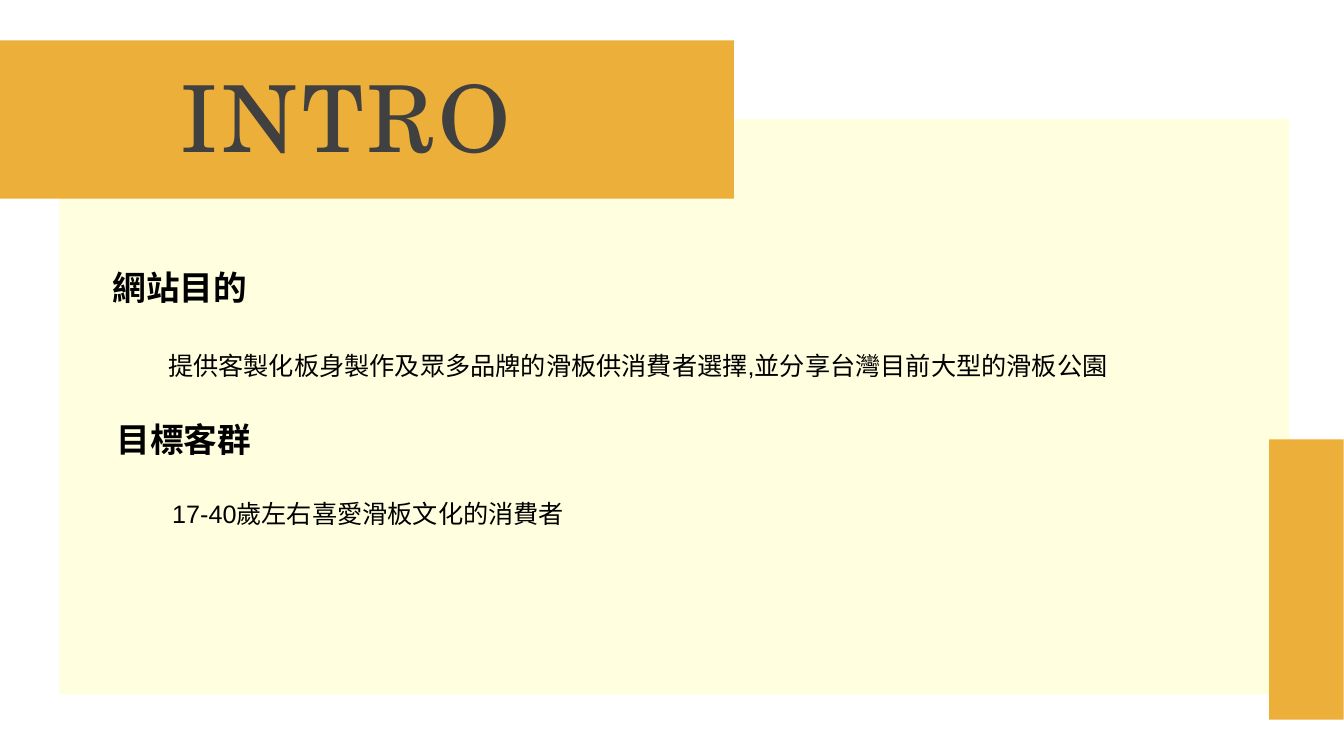
"""Build the INTRO slide on a website's purpose and target audience."""
from dataclasses import dataclass

from lxml import etree
from pptx import Presentation
from pptx import util as u
from pptx.dml import color
from pptx.enum import shapes, text
from pptx.oxml import ns
from pptx.slide import Slide

AMBER, CREAM, CHARCOAL, BLACK = "ECAF3A", "FFFFD7", "404040", "000000"


@dataclass
class Panel:
    left: float
    top: float
    width: float
    height: float
    fill: str
    opacity: int = 100


@dataclass
class Section:
    left: float
    top: float
    heading: str
    body: str
    body_drop: float


PANELS = [
    Panel(42.48, 84.96, 878.4, 411.12, CREAM, opacity=80),
    Panel(0, 28.8, 524.16, 113.04, AMBER),
    Panel(906.48, 313.92, 53.28, 200.16, AMBER),
]
SECTIONS = [
    Section(73.44, 187.2, "網站目的",
            "提供客製化板身製作及眾多品牌的滑板供消費者選擇,並分享台灣目前大型的滑板公園", 59.76),
    Section(76.32, 295.92, "目標客群", "17-40歲左右喜愛滑板文化的消費者", 56.16),
]
BODY_INDENT = 39.6


def paint(target, hex_color: str) -> None:
    target.rgb = color.RGBColor.from_string(hex_color)


def add_panel(slide: Slide, panel: Panel) -> None:
    block = slide.shapes.add_shape(
        shapes.MSO_SHAPE.RECTANGLE, u.Pt(panel.left), u.Pt(panel.top),
        u.Pt(panel.width), u.Pt(panel.height))
    block.shadow.inherit = False
    block.line.fill.background()
    block.fill.solid()
    paint(block.fill.fore_color, panel.fill)
    if panel.opacity < 100:
        tint = block.fill._xPr.find(".//" + ns.qn("a:srgbClr"))
        etree.SubElement(tint, ns.qn("a:alpha"), val=str(panel.opacity * 1000))


def add_text(slide: Slide, words: str, left: float, top: float, width: float,
             height: float, *, size: float, font: str = "Arial",
             ink: str = BLACK, bold: bool = False, spacing: float = 0,
             align: text.PP_ALIGN = text.PP_ALIGN.LEFT) -> None:
    frame = slide.shapes.add_textbox(
        u.Pt(left), u.Pt(top), u.Pt(width), u.Pt(height)).text_frame
    frame.word_wrap = True
    frame.auto_size = text.MSO_AUTO_SIZE.SHAPE_TO_FIT_TEXT
    line = frame.paragraphs[0]
    line.alignment = align
    run = line.add_run()
    run.text = words
    run.font.name = font
    run.font.size = u.Pt(size)
    run.font.bold = bold
    paint(run.font.color, ink)
    if spacing:
        run.font._element.set("spc", str(round(spacing * 100)))


def add_section(slide: Slide, section: Section) -> None:
    add_text(slide, section.heading, section.left, section.top, 465.12, 41.76,
             size=24, bold=True)
    add_text(slide, section.body, section.left + BODY_INDENT,
             section.top + section.body_drop, 765.36, 54.72, size=18)


def main() -> None:
    deck = Presentation()
    deck.slide_width, deck.slide_height = u.Pt(960), u.Pt(540)
    slide = deck.slides.add_slide(deck.slide_layouts[6])
    for panel in PANELS:
        add_panel(slide, panel)
    add_text(slide, "INTRO", 34.56, 39.6, 424.8, 86.4, size=66,
             font="TeX Gyre Schola", ink=CHARCOAL, spacing=3,
             align=text.PP_ALIGN.CENTER)
    for section in SECTIONS:
        add_section(slide, section)
    deck.save("out.pptx")


if __name__ == "__main__":
    main()
